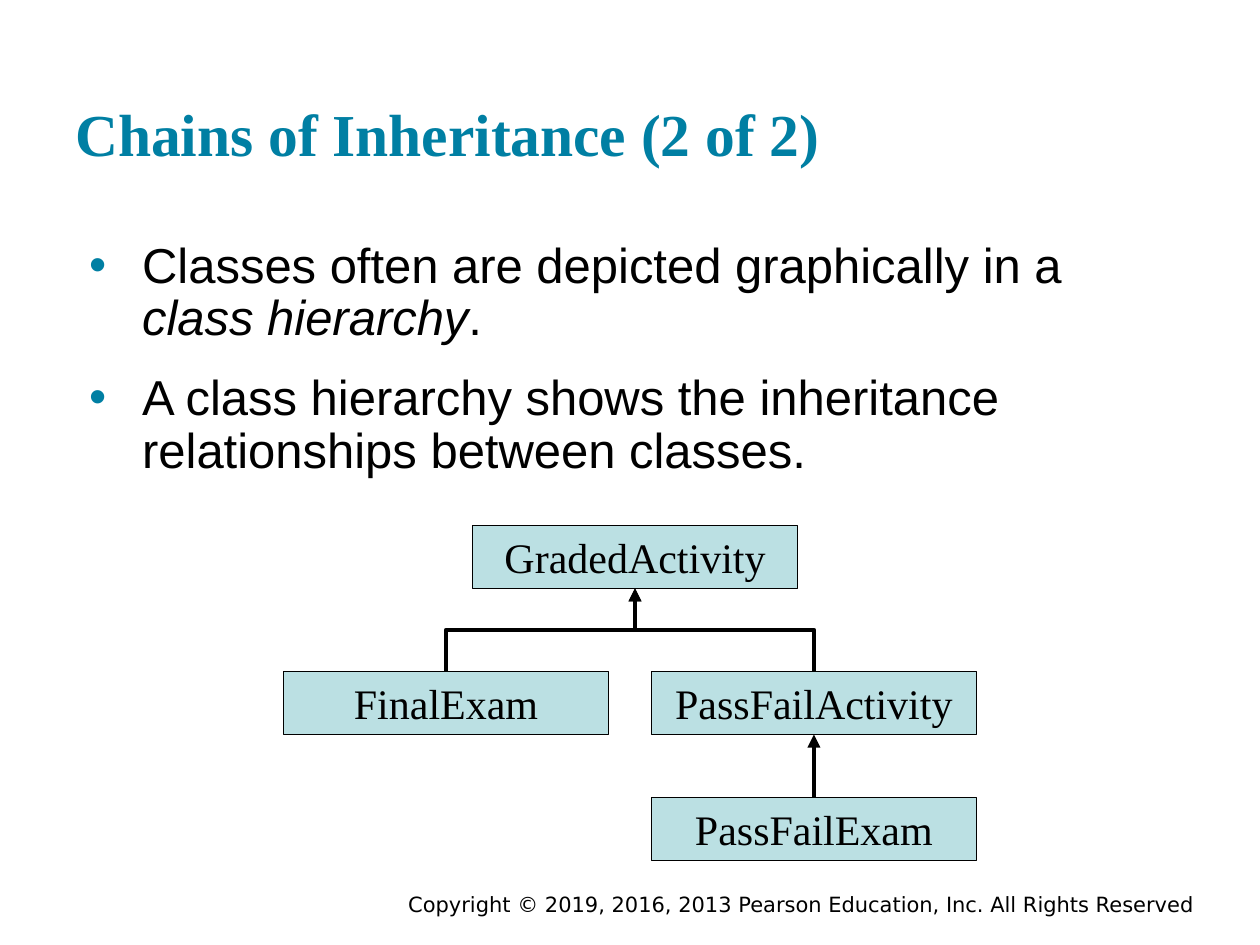
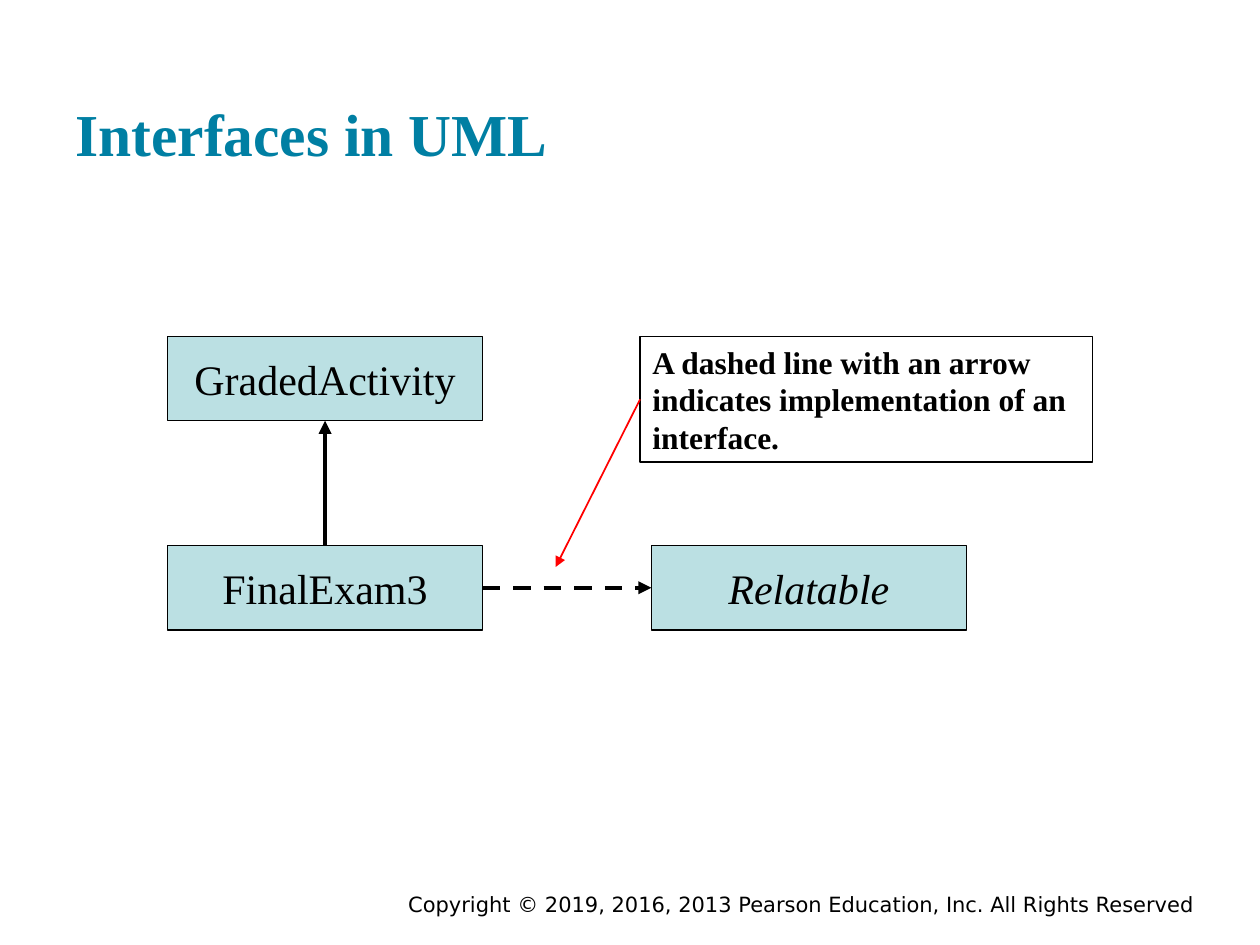
from lxml import etree
from pptx import Presentation
from pptx.dml.color import RGBColor
from pptx.enum.dml import MSO_LINE
from pptx.enum.shapes import MSO_CONNECTOR, MSO_SHAPE
from pptx.enum.text import MSO_ANCHOR, PP_ALIGN
from pptx.oxml.ns import qn
from pptx.util import Inches, Pt

LEFT, CENTER, RIGHT = PP_ALIGN.LEFT, PP_ALIGN.CENTER, PP_ALIGN.RIGHT
TOP, MIDDLE, BOTTOM = MSO_ANCHOR.TOP, MSO_ANCHOR.MIDDLE, MSO_ANCHOR.BOTTOM
STRAIGHT, ELBOW = MSO_CONNECTOR.STRAIGHT, MSO_CONNECTOR.ELBOW
RECT, DASH = MSO_SHAPE.RECTANGLE, MSO_LINE.DASH

COLORS = {"accent": "007FA3", "box": "BBE0E3", "ink": "000000", "pointer": "FF0000"}
SERIF, SANS, FOOTER_FONT = "Times New Roman", "Arial", "DejaVu Sans"
COPYRIGHT = "Copyright © 2019, 2016, 2013 Pearson Education, Inc. All Rights Reserved"


def rgb(name):
    return RGBColor.from_string(COLORS[name])


def set_bullet(p, left=0.53, hanging=0.42):
    pPr = p._p.get_or_add_pPr()
    pPr.set("marL", str(Inches(left)))
    pPr.set("indent", str(-Inches(hanging)))
    color = etree.SubElement(pPr, qn("a:buClr"))
    etree.SubElement(color, qn("a:srgbClr"), val=COLORS["accent"])
    etree.SubElement(pPr, qn("a:buFont"), typeface=SANS)
    etree.SubElement(pPr, qn("a:buChar"), char="•")


def write_text(sp, paragraphs, size=24, font=SERIF, color="ink", bold=False, italic=False,
               align=LEFT, anchor=TOP, wrap=True, margin_y=0.05, bullet=False,
               spacing=None, before=0):
    """Each paragraph is a string or a list of (text, italic) runs."""
    tf = sp.text_frame
    tf.word_wrap, tf.vertical_anchor = wrap, anchor
    tf.margin_left = tf.margin_right = Inches(0.1)
    tf.margin_top = tf.margin_bottom = Inches(margin_y)
    for i, runs in enumerate(paragraphs):
        p = tf.add_paragraph() if i else tf.paragraphs[0]
        p.alignment = align
        if spacing:
            p.line_spacing = spacing
        if i and before:
            p.space_before = Pt(before)
        if bullet:
            set_bullet(p)
        for text, slanted in [(runs, italic)] if isinstance(runs, str) else runs:
            r = p.add_run()
            r.text = text
            r.font.name, r.font.size = font, Pt(size)
            r.font.bold, r.font.italic = bold, slanted
            r.font.color.rgb = rgb(color)


def add_text(s, box, paragraphs, **fmt):
    write_text(s.shapes.add_textbox(*map(Inches, box)), paragraphs, **fmt)


def add_box(s, box, text, fill="box", width=0.75, **fmt):
    sp = s.shapes.add_shape(RECT, *map(Inches, box))
    sp.shadow.inherit = False
    if fill:
        sp.fill.solid()
        sp.fill.fore_color.rgb = rgb(fill)
    else:
        sp.fill.background()
    sp.line.color.rgb, sp.line.width = rgb("ink"), Pt(width)
    write_text(sp, [text], **fmt)


def add_class(s, box, name, italic=False):
    add_box(s, box, name, italic=italic, align=CENTER, anchor=MIDDLE, wrap=False)


def add_arrow(s, start, end, kind=STRAIGHT, color="ink", width=2.5, dash=None):
    line = s.shapes.add_connector(kind, *map(Inches, start + end))
    line.line.color.rgb, line.line.width = rgb(color), Pt(width)
    if dash:
        line.line.dash_style = dash
    etree.SubElement(line.line._get_or_add_ln(), qn("a:tailEnd"), type="triangle")
    etree.SubElement(line._element.spPr, qn("a:effectLst"))
    return line


def add_elbow_up(s, start, end):
    """Elbow that leaves and arrives vertically: a turned horizontal elbow."""
    (x1, y1), (x2, y2) = start, end
    cx, cy = (x1 + x2) / 2, (y1 + y2) / 2
    half_w, half_h = abs(y2 - y1) / 2, abs(x2 - x1) / 2
    line = add_arrow(s, (cx - half_w, cy - half_h), (cx + half_w, cy + half_h), ELBOW)
    xfrm = line._element.spPr.find(qn("a:xfrm"))
    xfrm.set("flipV", "1")
    if x2 < x1:
        xfrm.set("rot", str(270 * 60000))
    else:
        xfrm.set("rot", str(90 * 60000))
        xfrm.set("flipH", "1")


def top_of(box):
    return box[0] + box[2] / 2, box[1]


def bottom_of(box):
    return box[0] + box[2] / 2, box[1] + box[3]


def add_base(prs, title):
    s = prs.slides.add_slide(prs.slide_layouts[6])
    add_text(s, (1.75, 7.03, 7.83, 0.22), [COPYRIGHT], size=12, font=FOOTER_FONT, align=RIGHT)
    add_text(s, (0.5, 0.24, 9, 1.2), [title], size=34, color="accent", bold=True,
             anchor=BOTTOM, margin_y=0.1)
    return s


def add_hierarchy(s, x, y):
    w, h = 2.58, 0.5
    graded = (x + 1.5, y, w, h)
    final = (x, y + 1.16, w, h)
    pass_fail = (x + 2.92, y + 1.16, w, h)
    exam = (x + 2.92, y + 2.16, w, h)
    for box, name in ((graded, "GradedActivity"), (final, "FinalExam"),
                      (pass_fail, "PassFailActivity"), (exam, "PassFailExam")):
        add_class(s, box, name)
    add_arrow(s, top_of(exam), bottom_of(pass_fail))
    for child in (pass_fail, final):
        add_elbow_up(s, top_of(child), bottom_of(graded))


def add_interface_diagram(s, x, y):
    w, h = 2.5, 0.67
    graded = (x, y, w, h)
    final = (x, y + 1.66, w, h)
    relatable = (x + 3.84, y + 1.66, w, h)
    add_class(s, graded, "GradedActivity")
    add_class(s, final, "FinalExam3")
    add_class(s, relatable, "Relatable", italic=True)
    add_arrow(s, top_of(final), bottom_of(graded))
    mid = final[1] + h / 2
    add_arrow(s, (x + w, mid), (relatable[0], mid), dash=DASH)
    # Callout and its pointer
    add_box(s, (x + 3.75, y, 3.59, 1),
            "A dashed line with an arrow indicates implementation of an interface.",
            fill=None, width=1, size=18, bold=True)
    add_arrow(s, (x + 3.75, y + 0.5), (x + 3.08, y + 1.83), color="pointer", width=1)


def build_chains(prs):
    s = add_base(prs, "Chains of Inheritance (2 of 2)")
    add_text(s, (0.5, 1.81, 9, 4.95), [
        [("Classes often are depicted graphically in a ", False),
         ("class hierarchy", True), (".", False)],
        "A class hierarchy shows the inheritance relationships between classes.",
    ], size=28, font=SANS, margin_y=0.1, bullet=True, spacing=0.9, before=15)
    add_hierarchy(s, 2.25, 4.17)


def build_interfaces(prs):
    s = add_base(prs, "Interfaces in UML")
    add_interface_diagram(s, 1.33, 2.67)


def main():
    prs = Presentation()
    prs.slide_width, prs.slide_height = Inches(10), Inches(7.5)
    build_chains(prs)
    build_interfaces(prs)
    prs.save("out.pptx")


if __name__ == "__main__":
    main()
